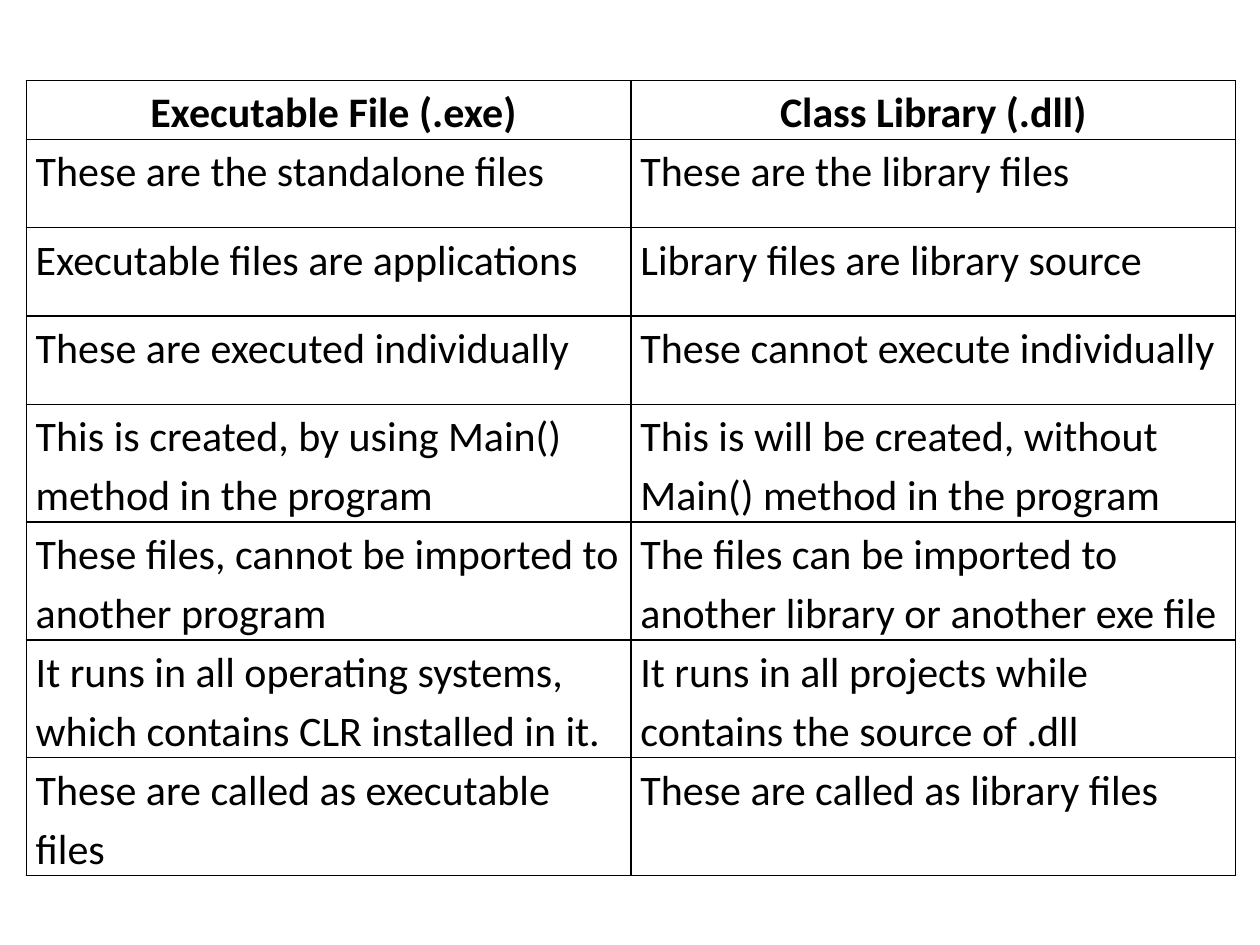
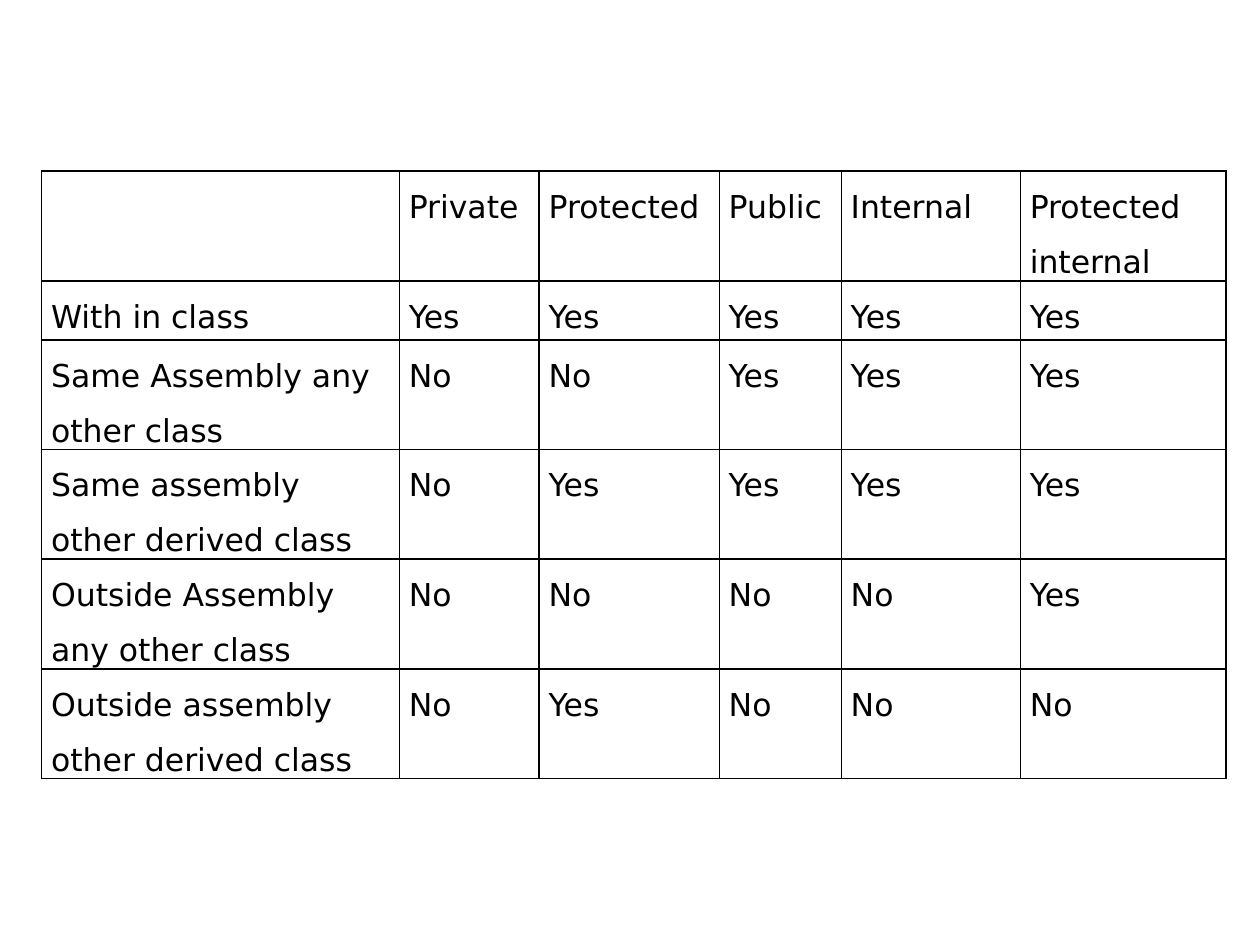
"""Two comparison tables: assembly file types and C# access modifiers."""
from dataclasses import dataclass

from lxml import etree
from pptx import Presentation
from pptx.dml.color import RGBColor
from pptx.enum.text import PP_ALIGN
from pptx.oxml.ns import qn
from pptx.util import Cm, Pt

LEFT, CENTER = PP_ALIGN.LEFT, PP_ALIGN.CENTER
BLACK = "000000"
BORDER_WIDTH = Pt(1)
SIDE_INSET = Cm(0.19)
BLANK_LAYOUT = 6


@dataclass(frozen=True)
class GridTable:
    """A ruled table; all lengths are in centimetres."""
    left: float
    top: float
    column_widths: tuple
    row_heights: tuple
    rows: tuple
    font_name: str
    font_size: int
    line_spacing: float
    strong_header: bool


FILE_TYPES = GridTable(
    left=0.53, top=1.62,
    column_widths=(12.19,) * 2,
    row_heights=(1.19,) + (1.78,) * 3 + (2.37,) * 4,
    rows=(
        (" Executable File (.exe)", "Class Library (.dll)"),
        ("These are the standalone files", "These are the library files"),
        ("Executable files are applications", "Library files are library source"),
        ("These are executed individually", "These cannot execute individually"),
        ("This is created, by using Main() method in the program",
         "This is will be created, without Main() method in the program"),
        ("These files, cannot be imported to another program",
         "The files can be imported to another library or another exe file"),
        ("It runs in all operating systems, which contains CLR installed in it.",
         "It runs in all projects while contains the source of .dll"),
        ("These are called as executable files", "These are called as library files"),
    ),
    font_name="Calibri", font_size=24, line_spacing=1.15, strong_header=True,
)

ACCESS_MODIFIERS = GridTable(
    left=0.84, top=3.45,
    column_widths=(7.21, 2.82, 3.63, 2.46, 3.61, 4.14),
    row_heights=(2.21, 1.19) + (2.21,) * 4,
    rows=(
        ("", "Private", "Protected", "Public", "Internal", "Protected internal"),
        ("With in class", "Yes", "Yes", "Yes", "Yes", "Yes"),
        ("Same Assembly any other class", "No", "No", "Yes", "Yes", "Yes"),
        ("Same assembly other derived class", "No", "Yes", "Yes", "Yes", "Yes"),
        ("Outside Assembly any other class", "No", "No", "No", "No", "Yes"),
        ("Outside assembly other derived class", "No", "Yes", "No", "No", "No"),
    ),
    font_name="DejaVu Sans", font_size=18, line_spacing=1.5, strong_header=False,
)


def color(value: str) -> RGBColor:
    """Turn a hex string into a colour."""
    return RGBColor.from_string(value)


def rule_cell(cell) -> None:
    """Draw a thin black line on all four sides of a cell."""
    properties = cell._tc.get_or_add_tcPr()
    for position, side in enumerate(("lnL", "lnR", "lnT", "lnB")):
        line = etree.Element(qn(f"a:{side}"), w=str(BORDER_WIDTH))
        fill = etree.SubElement(line, qn("a:solidFill"))
        etree.SubElement(fill, qn("a:srgbClr"), val=BLACK)
        properties.insert(position, line)


def write_cell(cell, text: str, grid: GridTable, strong: bool) -> None:
    """Fill a cell with text in the style of its table."""
    cell.margin_left = cell.margin_right = SIDE_INSET
    cell.margin_top = cell.margin_bottom = 0
    cell.fill.background()
    rule_cell(cell)
    cell.text = text
    paragraph = cell.text_frame.paragraphs[0]
    paragraph.alignment = CENTER if strong else LEFT
    paragraph.line_spacing = grid.line_spacing
    paragraph.font.name = grid.font_name
    paragraph.font.size = Pt(grid.font_size)
    paragraph.font.bold = strong
    paragraph.font.color.rgb = color(BLACK)


def add_grid_page(deck, grid: GridTable) -> None:
    """Add a page that holds one ruled table."""
    page = deck.slides.add_slide(deck.slide_layouts[BLANK_LAYOUT])
    frame = page.shapes.add_table(
        len(grid.row_heights), len(grid.column_widths),
        Cm(grid.left), Cm(grid.top),
        Cm(sum(grid.column_widths)), Cm(sum(grid.row_heights)))
    table = frame.table
    table.first_row = table.horz_banding = False
    for column, width in zip(table.columns, grid.column_widths):
        column.width = Cm(width)
    for row, height in zip(table.rows, grid.row_heights):
        row.height = Cm(height)
    for row_index, texts in enumerate(grid.rows):
        strong = grid.strong_header and row_index == 0
        for column_index, text in enumerate(texts):
            write_cell(table.cell(row_index, column_index), text, grid, strong)


def main() -> None:
    """Build and save the deck."""
    deck = Presentation()
    deck.slide_width, deck.slide_height = Cm(25.4), Cm(19.05)
    for grid in (FILE_TYPES, ACCESS_MODIFIERS):
        add_grid_page(deck, grid)
    deck.save("out.pptx")


main()
